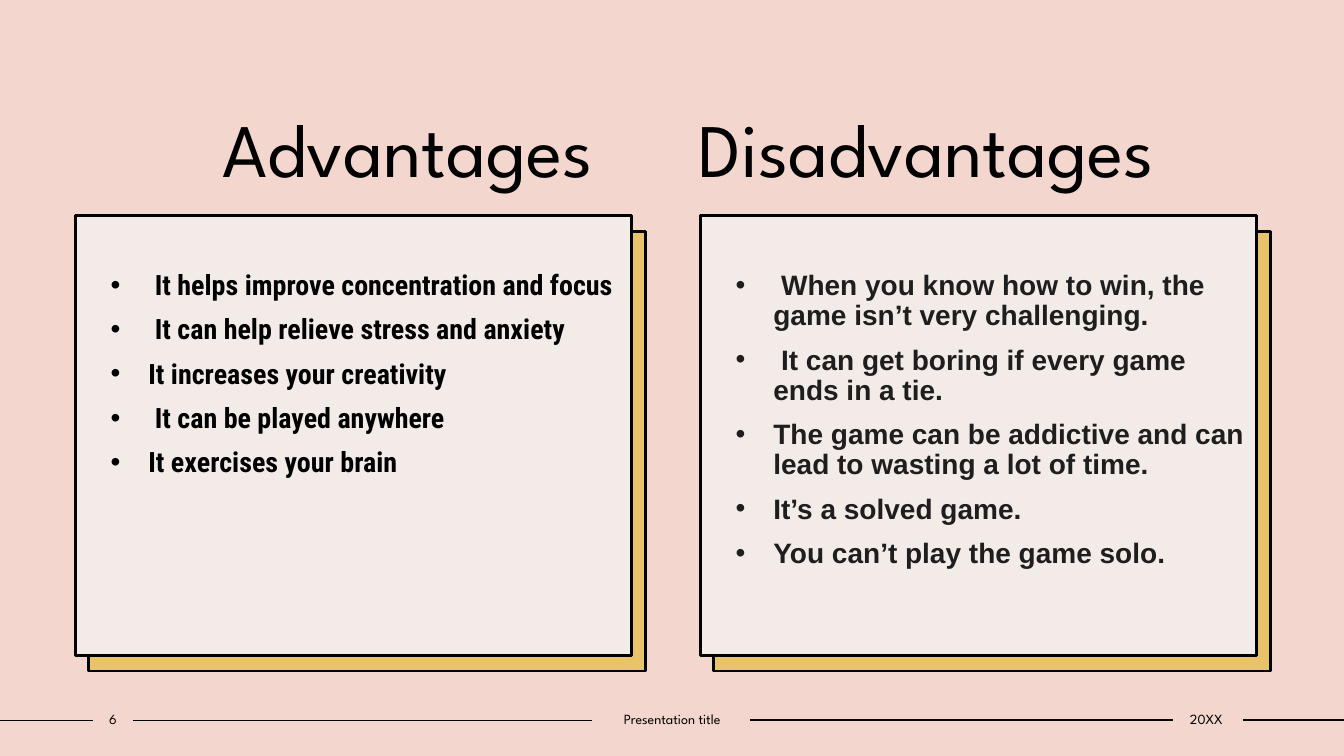
from pptx import Presentation
from pptx.dml.color import RGBColor
from pptx.enum.shapes import MSO_CONNECTOR, MSO_SHAPE
from pptx.enum.text import MSO_ANCHOR, MSO_AUTO_SIZE, PP_ALIGN
from pptx.oxml.ns import qn
from pptx.util import Cm, Pt
from lxml.etree import SubElement

BLACK = "000000"
HEADING_FONT = "League Spartan"
CARD_WIDTH, CARD_HEIGHT, CARD_TOP = 14.02, 11.07, 5.44
ADVANTAGES = [
    " It helps improve concentration and focus",
    " It can help relieve stress and anxiety",
    "It increases your creativity",
    " It can be played anywhere",
    "It exercises your brain",
]
DISADVANTAGES = [
    " When you know how to win, the game isn’t very challenging.",
    " It can get boring if every game ends in a tie.",
    "The game can be addictive and can lead to wasting a lot of time.",
    "It’s a solved game.",
    "You can’t play the game solo.",
]
FOOTER_LINES = [(0, 2.34, 18.16), (3.35, 14.91, 18.16), (18.9, 29.57, 18.14), (31.32, 33.87, 18.14)]
FOOTER_TEXTS = [("6", 2.34, 1.02), ("Presentation title", 14.91, 4.06), ("20XX", 29.51, 1.78)]


def colour(value):
    return RGBColor.from_string(value)


def format_runs(para, font, size, value, bold=False):
    for span in para.runs:
        span.font.name = font
        span.font.size = Pt(size)
        span.font.bold = bold
        span.font.color.rgb = colour(value)


def set_margins(frame, left, top, right, bottom):
    frame.margin_left, frame.margin_top = Cm(left), Cm(top)
    frame.margin_right, frame.margin_bottom = Cm(right), Cm(bottom)


def add_title(page, left_word, right_word):
    title = page.shapes.title
    title.left, title.top, title.width, title.height = Cm(1.14), Cm(2.31), Cm(33.05), Cm(2.82)
    frame = title.text_frame
    frame.auto_size = MSO_AUTO_SIZE.NONE
    frame.vertical_anchor = MSO_ANCHOR.MIDDLE
    set_margins(frame, 4.47, 0.13, 0.25, 0.13)
    para = frame.paragraphs[0]
    para.text = f"{left_word}\t{right_word}"
    para.alignment = PP_ALIGN.LEFT
    format_runs(para, HEADING_FONT, 54, BLACK)
    stops = SubElement(para._p.get_or_add_pPr(), qn("a:tabLst"))
    SubElement(stops, qn("a:tab"), pos=str(Cm(12)), algn="l")


def add_panel(page, left, top, fill):
    box = page.shapes.add_shape(
        MSO_SHAPE.RECTANGLE, Cm(left), Cm(top), Cm(CARD_WIDTH), Cm(CARD_HEIGHT))
    box.shadow.inherit = False
    box.fill.solid()
    box.fill.fore_color.rgb = colour(fill)
    box.line.color.rgb = colour(BLACK)
    box.line.width = Pt(2)
    return box


def add_bullet(para):
    properties = para._p.get_or_add_pPr()
    properties.set("marL", str(Cm(0.95)))
    properties.set("indent", str(-Cm(0.95)))
    SubElement(properties, qn("a:buFont"), typeface="Arial")
    SubElement(properties, qn("a:buChar"), char="•")


def add_card(page, left, points, font, value):
    add_panel(page, left + 0.34, CARD_TOP + 0.4, "E9C369")
    frame = add_panel(page, left, CARD_TOP, "F3EBE8").text_frame
    frame.word_wrap = True
    frame.vertical_anchor = MSO_ANCHOR.TOP
    set_margins(frame, 0.89, 1.4, 0.25, 0.13)
    frame.text = "\n".join(points)
    for para in frame.paragraphs:
        para.alignment = PP_ALIGN.LEFT
        para.line_spacing = 0.9
        para.space_before = Pt(10)
        add_bullet(para)
        format_runs(para, font, 20, value, bold=True)


def add_footer_line(page, start, end, height):
    line = page.shapes.add_connector(
        MSO_CONNECTOR.STRAIGHT, Cm(start), Cm(height), Cm(end), Cm(height))
    line.line.color.rgb = colour(BLACK)
    line.line.width = Pt(1)
    SubElement(line._element.spPr, qn("a:effectLst"))


def add_footer_text(page, text, left, width):
    frame = page.shapes.add_textbox(Cm(left), Cm(17.78), Cm(width), Cm(0.69)).text_frame
    frame.word_wrap = True
    frame.vertical_anchor = MSO_ANCHOR.MIDDLE
    set_margins(frame, 0, 0.13, 0, 0.13)
    frame.text = text
    para = frame.paragraphs[0]
    para.alignment = PP_ALIGN.CENTER
    format_runs(para, HEADING_FONT, 10, BLACK)


def main():
    deck = Presentation()
    deck.slide_width, deck.slide_height = Cm(33.87), Cm(19.05)
    page = deck.slides.add_slide(deck.slide_layouts.get_by_name("Title Only"))
    page.background.fill.solid()
    page.background.fill.fore_color.rgb = colour("F3D6CD")
    add_title(page, "Advantages", "Disadvantages")
    add_card(page, 1.9, ADVANTAGES, "Roboto Condensed", BLACK)
    add_card(page, 17.65, DISADVANTAGES, "Arial", "1E1E1E")
    for start, end, height in FOOTER_LINES:
        add_footer_line(page, start, end, height)
    for text, left, width in FOOTER_TEXTS:
        add_footer_text(page, text, left, width)
    deck.save("out.pptx")


if __name__ == "__main__":
    main()
